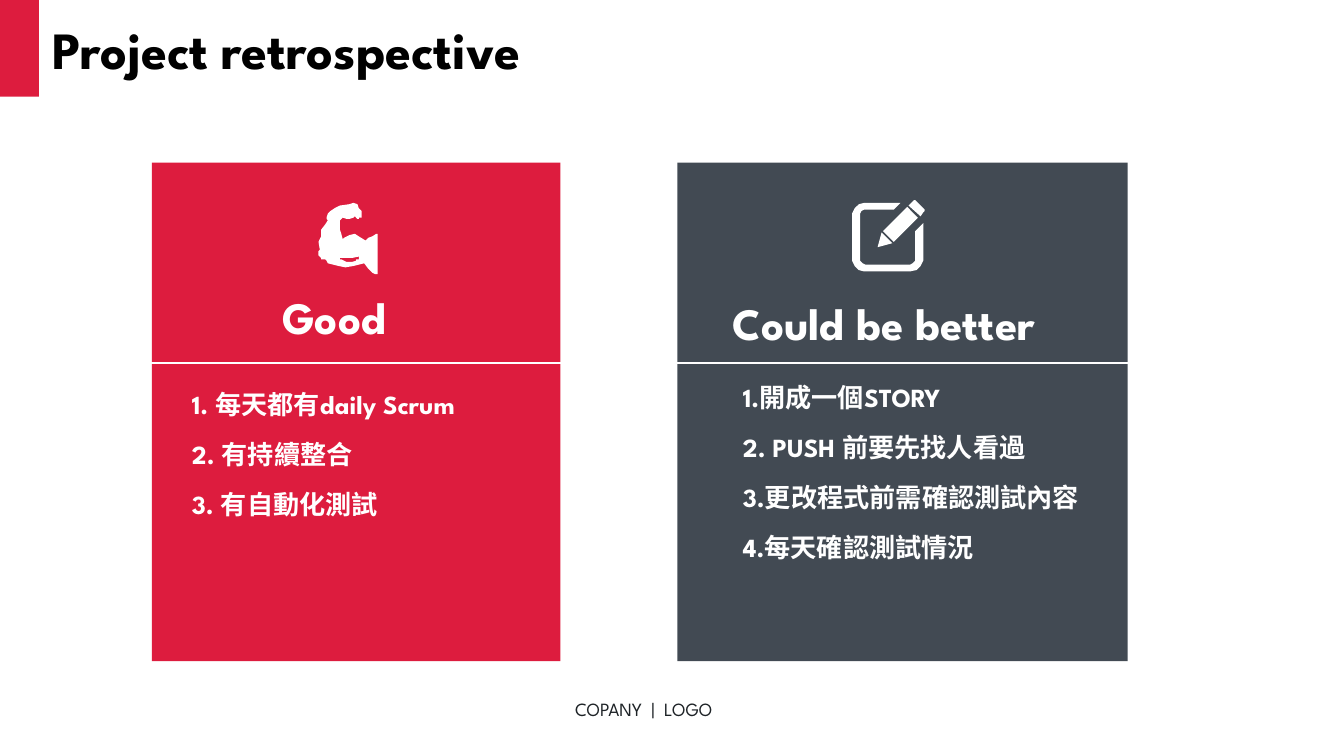
from dataclasses import dataclass

from lxml.etree import SubElement
from pptx import Presentation
from pptx.dml.color import RGBColor
from pptx.enum.shapes import MSO_CONNECTOR as Connector, MSO_SHAPE as Shape
from pptx.enum.text import MSO_ANCHOR as Anchor, MSO_AUTO_SIZE as AutoSize, PP_ALIGN as Align
from pptx.oxml.ns import qn
from pptx.util import Inches, Pt

RED = RGBColor(0xDD, 0x1C, 0x3E)
SLATE = RGBColor(0x42, 0x4A, 0x53)
WHITE = RGBColor(0xFF, 0xFF, 0xFF)
BLACK = RGBColor(0, 0, 0)
INK = RGBColor(0x1E, 0x23, 0x27)
FONT = "League Spartan"

Area = tuple[float, float, float, float]
Outline = list[tuple[int, int]]


@dataclass
class TextStyle:
    size: int
    color: RGBColor
    bold: bool = True
    before: int = 0
    line_spacing: float = 1.0
    auto_size: AutoSize = AutoSize.SHAPE_TO_FIT_TEXT


@dataclass
class Card:
    area: Area
    color: RGBColor
    icon: list[Outline]
    heading: str
    heading_area: Area
    items: list[str]
    items_area: Area


TITLE = TextStyle(28, BLACK)
HEADING = TextStyle(24, WHITE)
ITEM = TextStyle(14, WHITE, before=10, auto_size=AutoSize.NONE)
FOOTER = TextStyle(10, INK, bold=False, line_spacing=1.3)

# Icon outlines, in hundredths of an inch
ARM = [
    [(253, 191), (253, 193), (254, 193), (256, 194), (258, 195), (262, 195), (265, 194),
     (265, 193), (267, 193), (267, 191), (262, 192), (253, 192)],
    [(263, 151), (266, 152), (267, 155), (269, 157), (269, 162), (267, 162), (267, 163),
     (266, 163), (265, 162), (264, 161), (263, 162), (260, 163), (258, 163), (255, 162),
     (253, 164), (253, 171), (254, 174), (255, 178), (256, 177), (258, 176), (260, 175),
     (264, 174), (267, 176), (272, 179), (274, 177), (277, 176), (280, 174), (281, 174),
     (281, 204), (279, 204), (277, 203), (274, 200), (271, 196), (263, 198), (257, 199),
     (252, 198), (248, 197), (244, 196), (243, 194), (242, 193), (239, 193), (239, 192),
     (237, 190), (237, 187), (238, 186), (237, 180), (239, 176), (239, 171), (242, 167),
     (244, 164), (243, 163), (243, 162), (244, 159), (246, 157), (249, 155), (253, 153),
     (260, 152)],
]
PENCIL = [
    [(656, 173), (664, 181), (653, 184)],
    [(675, 154), (683, 162), (665, 180), (657, 172)],
    [(643, 151), (670, 151), (665, 156), (643, 156), (641, 157), (640, 159), (640, 194),
     (641, 195), (642, 196), (644, 197), (677, 197), (679, 196), (680, 195), (681, 194),
     (681, 172), (687, 166), (687, 194), (685, 198), (682, 201), (677, 202), (643, 202),
     (639, 201), (636, 198), (634, 194), (634, 159), (636, 155), (639, 152)],
    [(681, 149), (682, 150), (687, 155), (688, 156), (688, 157), (687, 158), (685, 161),
     (676, 153), (679, 150), (680, 149)],
]

CARDS = [
    Card((1.13, 1.21, 3.04, 3.71), RED, ARM, "Good", (2, 2.11, 1.29, 0.5),
         ["1. 每天都有daily Scrum", "2. 有持續整合", "3. 有自動化測試"],
         (1.33, 2.84, 2.77, 1.21)),
    Card((5.04, 1.21, 3.35, 3.71), SLATE, PENCIL, "Could be better", (5.35, 2.15, 3.92, 0.5),
         ["1.開成一個STORY", "2. PUSH 前要先找人看過", "3.更改程式前需確認測試內容",
          "4.每天確認測試情況"],
         (5.43, 2.79, 2.77, 1.21)),
]


def paint(shape, color: RGBColor) -> None:
    shape.shadow.inherit = False
    shape.fill.solid()
    shape.fill.fore_color.rgb = color
    shape.line.fill.background()


def add_block(page, area: Area, color: RGBColor) -> None:
    paint(page.shapes.add_shape(Shape.RECTANGLE, *map(Inches, area)), color)


def add_icon(page, outlines: list[Outline]) -> None:
    first, *others = outlines
    builder = page.shapes.build_freeform(*first[0], scale=Inches(0.01))
    builder.add_line_segments(first[1:], close=True)
    for outline in others:
        builder.move_to(*outline[0])
        builder.add_line_segments(outline[1:], close=True)
    paint(builder.convert_to_shape(), WHITE)


def write(box, lines: list[str], style: TextStyle) -> None:
    frame = box.text_frame
    frame.text = "\n".join(lines)
    frame.word_wrap = True
    frame.auto_size = style.auto_size
    frame.vertical_anchor = Anchor.TOP
    layout = {"alignment": Align.LEFT, "space_before": Pt(style.before),
              "line_spacing": style.line_spacing}
    look = {"name": FONT, "size": Pt(style.size), "bold": style.bold}
    for para in frame.paragraphs:
        for name, value in layout.items():
            setattr(para, name, value)
        for span in para.runs:
            for name, value in look.items():
                setattr(span.font, name, value)
            span.font.color.rgb = style.color


def add_text(page, area: Area, lines: list[str], style: TextStyle) -> None:
    write(page.shapes.add_textbox(*map(Inches, area)), lines, style)


def add_divider(page, left: float, right: float, top: float) -> None:
    line = page.shapes.add_connector(
        Connector.STRAIGHT, Inches(left), Inches(top), Inches(right), Inches(top))
    line.line.color.rgb = WHITE
    line.line.width = Pt(0.75)
    SubElement(line._element.spPr, qn("a:effectLst"))


def main() -> None:
    # Widescreen page, 16:9
    deck = Presentation()
    deck.slide_width = Inches(10)
    deck.slide_height = deck.slide_width * 9 // 16
    page = deck.slides.add_slide(deck.slide_layouts[5])

    # Title with its red tab
    title = page.shapes.title
    title.left, title.top, title.width, title.height = map(Inches, (0.29, 0.08, 4.63, 0.57))
    write(title, ["Project retrospective"], TITLE)
    add_block(page, (0, 0, 0.29, 0.72), RED)

    # Cards, with one divider across both
    for card in CARDS:
        add_block(page, card.area, card.color)
    add_divider(page, 0.63, 9.48, 2.7)
    for card in CARDS:
        add_icon(page, card.icon)
        add_text(page, card.heading_area, [card.heading], HEADING)
        add_text(page, card.items_area, card.items, ITEM)

    # Footer
    add_text(page, (4.18, 5.09, 1.65, 0.32), ["COPANY  |  LOGO"], FOOTER)

    deck.save("out.pptx")


if __name__ == "__main__":
    main()
